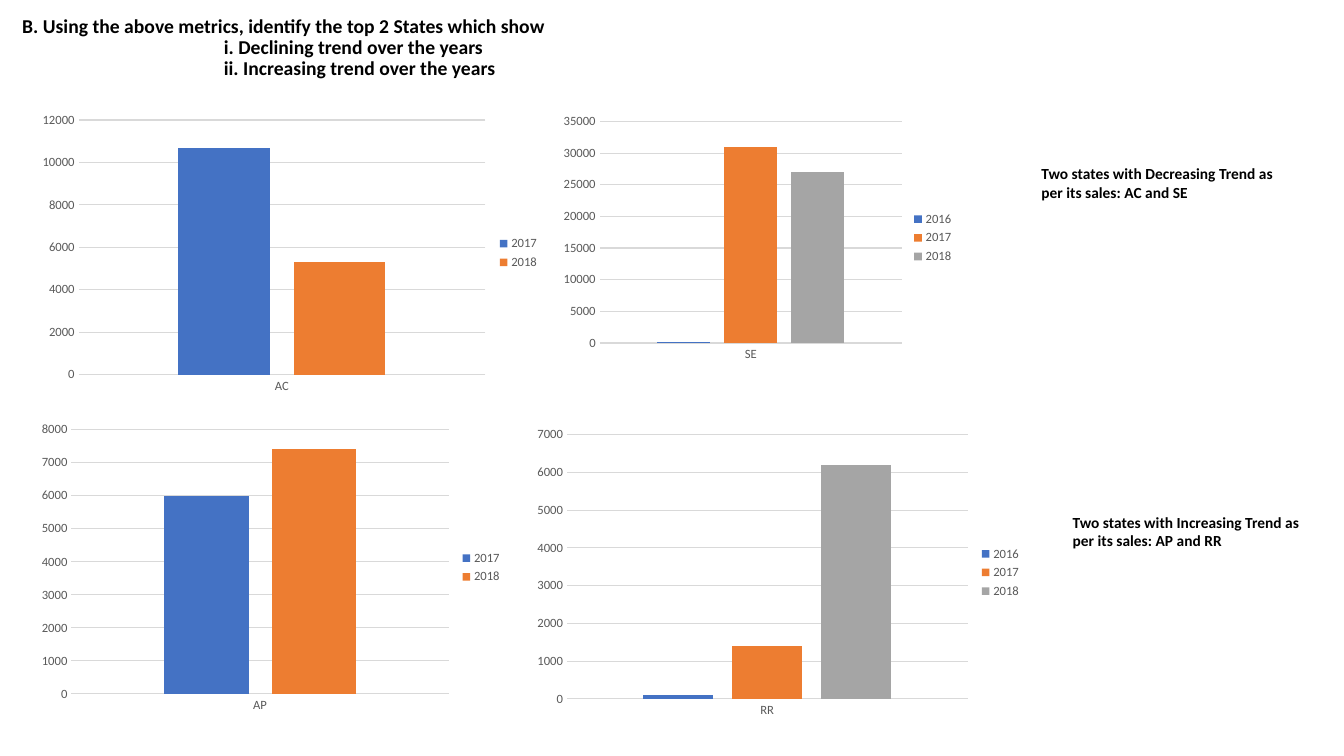
from pptx import Presentation
from pptx.chart.data import CategoryChartData
from pptx.dml.color import RGBColor
from pptx.enum.chart import XL_CHART_TYPE, XL_LEGEND_POSITION, XL_TICK_MARK
from pptx.enum.text import MSO_ANCHOR, PP_ALIGN
from pptx.util import Inches, Pt

COLUMN = XL_CHART_TYPE.COLUMN_CLUSTERED
RIGHT = XL_LEGEND_POSITION.RIGHT
NO_TICK = XL_TICK_MARK.NONE
TOP = MSO_ANCHOR.TOP
LEFT = PP_ALIGN.LEFT

COLORS = {
    "text": "000000",
    "label": "595959",
    "grid": "D9D9D9",
    "2016": "4472C4",
    "2017": "ED7D31",
    "2018": "A5A5A5",
}
SERIES = [COLORS["2016"], COLORS["2017"], COLORS["2018"]]


class Deck:
    def __init__(self):
        self.font = "Calibri"
        self.file = Presentation()
        self.file.slide_width = Inches(13.33)
        self.file.slide_height = Inches(7.5)
        self.slide = self.file.slides.add_slide(self.file.slide_layouts[5])

    def style(self, font, size, color, bold=False):
        font.name = self.font
        font.size = Pt(size)
        font.bold = bold
        font.color.rgb = RGBColor.from_string(color)

    def title(self, box, head, items):
        shape = self.slide.shapes.title
        shape.left, shape.top, shape.width, shape.height = map(Inches, box)
        frame = shape.text_frame
        frame.word_wrap = True
        frame.vertical_anchor = TOP
        frame.text = "\n".join([head] + items)
        for row, para in enumerate(frame.paragraphs):
            para.alignment = LEFT
            para.line_spacing = 0.9
            para.space_before = Pt(0)
            if row:
                para._p.get_or_add_pPr().set("marL", str(Inches(2)))
            for run in para.runs:
                self.style(run.font, 14, COLORS["text"], True)

    def note(self, box, text):
        frame = self.slide.shapes.add_textbox(*map(Inches, box)).text_frame
        frame.word_wrap = True
        frame.text = text
        self.style(frame.paragraphs[0].runs[0].font, 11, COLORS["text"], True)

    def line(self, line):
        line.color.rgb = RGBColor.from_string(COLORS["grid"])
        line.width = Pt(0.75)

    def chart(self, box, state, sales, peak, step):
        data = CategoryChartData()
        data.categories = [state]
        for year, value in sales.items():
            data.add_series(year, [value])
        chart = self.slide.shapes.add_chart(COLUMN, *map(Inches, box), data).chart
        chart.has_title = False
        self.style(chart.font, 10, COLORS["text"])
        chart.has_legend = True
        chart.legend.position = RIGHT
        chart.legend.include_in_layout = False
        self.style(chart.legend.font, 9, COLORS["label"])
        plot = chart.plots[0]
        plot.gap_width = 219
        plot.overlap = -27
        plot.vary_by_categories = False
        for bar, color in zip(plot.series, SERIES):
            bar.format.fill.solid()
            bar.format.fill.fore_color.rgb = RGBColor.from_string(color)
        for axis in (chart.category_axis, chart.value_axis):
            axis.major_tick_mark = NO_TICK
            axis.minor_tick_mark = NO_TICK
            self.style(axis.tick_labels.font, 9, COLORS["label"])
        self.line(chart.category_axis.format.line)
        scale = chart.value_axis
        scale.format.line.fill.background()
        scale.minimum_scale = 0
        scale.maximum_scale = peak
        scale.major_unit = step
        self.line(scale.major_gridlines.format.line)


def main():
    deck = Deck()
    deck.title(
        (0.12, 0.11, 5.45, 0.95),
        "B. Using the above metrics, identify the top 2 States which show",
        ["i. Declining trend over the years", "ii. Increasing trend over the years"],
    )
    charts = [
        ((0.32, 1.06, 5.13, 2.9), "AC", {"2017": 10700, "2018": 5300}, 12000, 2000),
        ((5.51, 1.08, 4.05, 2.56), "SE",
         {"2016": 200, "2017": 31000, "2018": 27000}, 35000, 5000),
        ((0.32, 4.13, 4.76, 3), "AP", {"2017": 6000, "2018": 7400}, 8000, 1000),
        ((5.23, 4.18, 5, 3), "RR",
         {"2016": 100, "2017": 1400, "2018": 6200}, 7000, 1000),
    ]
    for item in charts:
        deck.chart(*item)
    notes = [
        (10.23, 1.58, "Decreasing", "AC and SE"),
        (10.54, 5.04, "Increasing", "AP and RR"),
    ]
    for left, top, trend, states in notes:
        deck.note(
            (left, top, 2.68, 0.47),
            f"Two states with {trend} Trend as per its sales: {states}",
        )
    deck.file.save("out.pptx")


if __name__ == "__main__":
    main()
